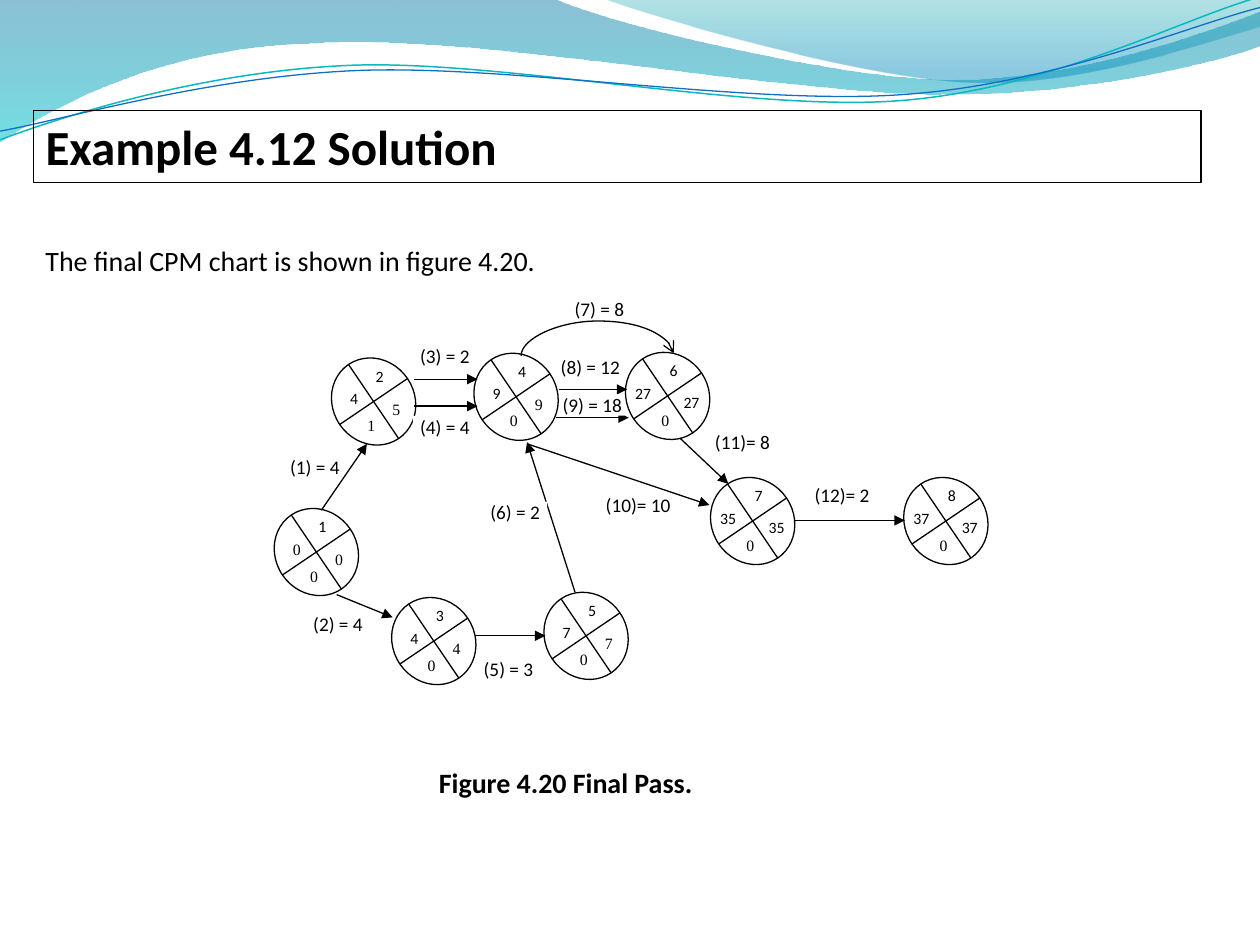
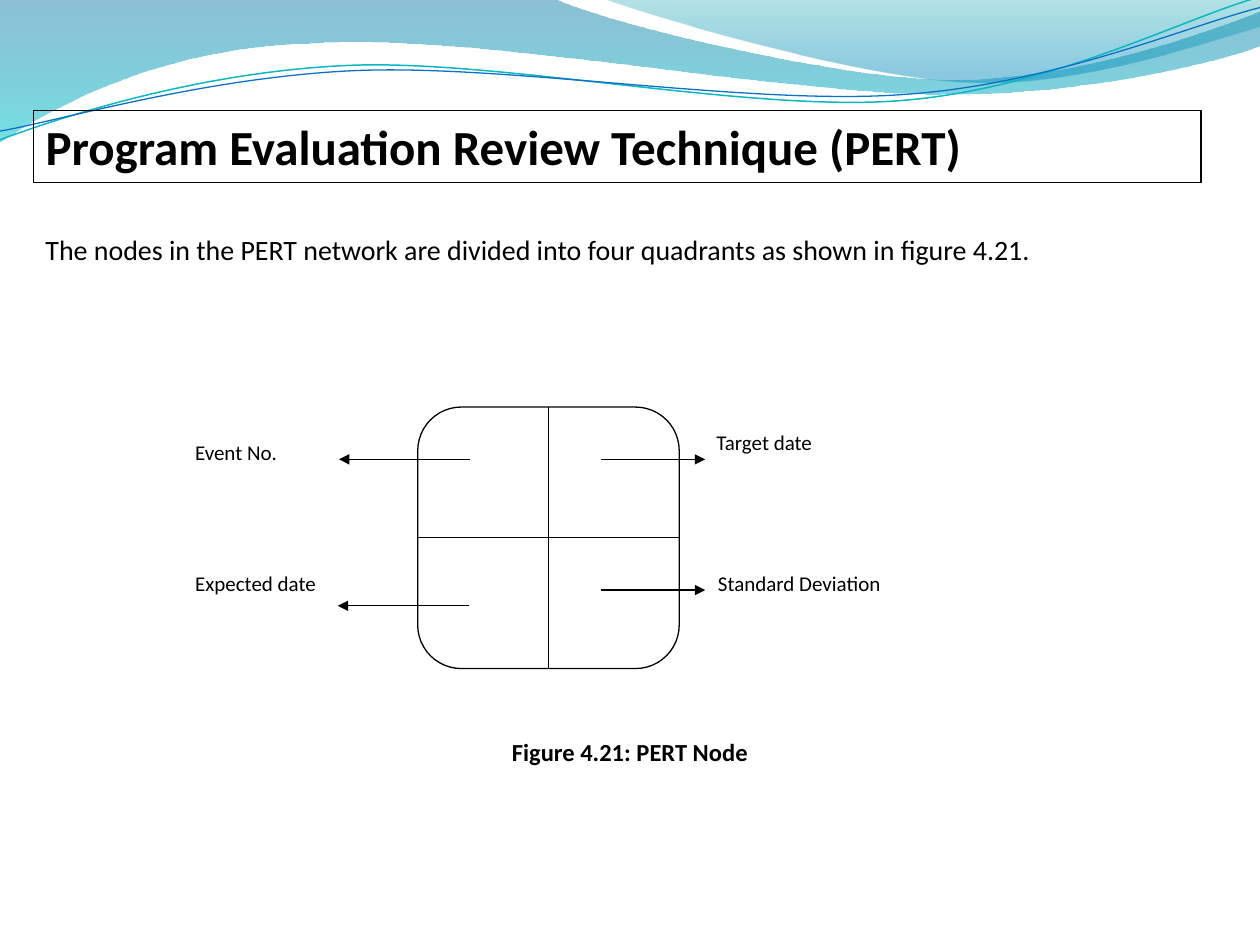
from dataclasses import dataclass
from typing import NamedTuple, Optional

from lxml.etree import SubElement
from pptx import Presentation
from pptx.dml.color import RGBColor
from pptx.enum.shapes import MSO_CONNECTOR as Link, MSO_SHAPE as Preset
from pptx.enum.text import MSO_ANCHOR as Anchor, PP_ALIGN as Align
from pptx.oxml.ns import qn
from pptx.util import Pt


# ---- Theme ----
@dataclass(frozen=True)
class Theme:
    ink: str = "000000"
    paper: str = "FFFFFF"
    teal_line: str = "0AB8BF"
    blue_line: str = "0F6FC6"
    sans: str = "Calibri"
    serif: str = "Times New Roman"
    title: float = 28
    body: float = 16
    caption: float = 14
    quadrant: float = 12
    activity: float = 11
    number: float = 9
    stroke: float = 0.75


THEME = Theme()


class Point(NamedTuple):
    x: float
    y: float


class Box(NamedTuple):
    left: float
    top: float
    width: float
    height: float


# ---- Content records ----
class GradientStop(NamedTuple):
    position: float
    color: str
    opacity: int


@dataclass(frozen=True)
class Wave:
    """Each segment holds one point (straight) or three (cubic curve)."""
    start: Point
    segments: tuple
    stops: tuple = ()
    line: str = ""
    width: float = THEME.stroke


@dataclass(frozen=True)
class Event:
    number: str
    left: float
    top: float
    earliest: str
    latest: str
    slack: str = "0"
    earliest_font: str = THEME.sans


@dataclass(frozen=True)
class Activity:
    label: str
    label_at: Point
    begin: Point
    end: Point
    label_width: float = 36.7
    label_on_top: bool = False
    rise: float = 0


class Quadrant(NamedTuple):
    label: str
    box: Box
    begin: Point
    end: Point


WAVES = (
    Wave(Point(0, 0), (
        ((316.8, -0.7),),
        ((342.7, 12.2), (478.1, 45.4), (545.8, 45.4)),
        ((614.2, 45.4), (689.8, 18.7), (720, 6.5)),
        ((720.7, 25.9),),
        ((707.8, 31.7), (626.4, 54.7), (537.1, 54)),
        ((447.8, 54), (275, 20.2), (185, 24.5)),
        ((92.9, 25.9), (33.1, 59.8), (-0.7, 81.4))),
        stops=(GradientStop(0, "0074A1", 45), GradientStop(1, "00C6CF", 55))),
    Wave(Point(344.9, -0.7), (
        ((366.5, 7.9), (491, 44.6), (553.7, 46.8)),
        ((616.3, 49.7), (691.9, 23), (720, 15.1)),
        ((720, 0),)),
        stops=(GradientStop(0, "00A1A9", 30), GradientStop(0.8, "008BBF", 45))),
    Wave(Point(0, 79.9), (
        ((34.6, 67), (113.8, 41), (199.4, 37.4)),
        ((284.4, 33.8), (427, 64.1), (513.4, 57.6)),
        ((599.8, 51.1), (675.4, 10.8), (718.6, -1.4))),
        line=THEME.teal_line, width=0.85),
    Wave(Point(0, 74.9), (
        ((33.8, 69.1), (118.1, 43.9), (203.8, 40.3)),
        ((290.2, 36.7), (429.8, 60.5), (516.2, 54)),
        ((601.9, 48.2), (677.5, 15.1), (720, 4.3))),
        line=THEME.blue_line),
)

EVENTS = (
    Event("1", 157.4, 289.9, "0", "0", earliest_font=THEME.serif),
    Event("2", 190.1, 203.9, "4", "5", slack="1"),
    Event("3", 224.5, 340.8, "4", "4"),
    Event("4", 271.5, 201.2, "9", "9"),
    Event("5", 311.5, 337.8, "7", "7"),
    Event("6", 358.1, 200.7, "27", "27"),
    Event("7", 406.7, 272.2, "35", "35"),
    Event("8", 517.1, 272.2, "37", "37"),
)

ACTIVITIES = (
    Activity("(1) = 4", Point(161.6, 260.6), Point(183.6, 291.6), Point(209.7, 253.6)),
    Activity("(2) = 4", Point(174.8, 350.6), Point(192.4, 339.8), Point(224.4, 352.8)),
    Activity("(3) = 2", Point(235.9, 197), Point(236.6, 216.7), Point(272.9, 216.7)),
    Activity("(4) = 4", Point(235.9, 237.6), Point(236.6, 232.1), Point(272.9, 232.1)),
    Activity("(5) = 3", Point(272.2, 376.2), Point(271.4, 363.3), Point(311.6, 363.3)),
    Activity("(6) = 2", Point(276, 286.6), Point(328.6, 338.4), Point(301.2, 252.7),
             label_on_top=True),
    Activity("(7) = 8", Point(324.2, 170.3), Point(297.8, 203.3), Point(385, 201.9), rise=20),
    Activity("(8) = 12", Point(319, 203.8), Point(319.5, 222.5), Point(358.4, 222.5)),
    Activity("(9) = 18", Point(320.1, 225.4), Point(317.5, 238.7), Point(359.3, 238.7),
             label_on_top=True),
    Activity("(10)= 10", Point(340.6, 282.2), Point(301.2, 253.6), Point(405.4, 288.6),
             label_width=48.2),
    Activity("(11)= 8", Point(405.9, 246.2), Point(388.6, 250.4), Point(416.2, 276.5)),
    Activity("(12)= 2", Point(462.8, 276.5), Point(453.6, 297.4), Point(517, 297.4)),
)

PERT_NODE = Box(238.7, 232.6, 149.4, 149.4)
QUADRANTS = (
    Quadrant("Expected date", Box(104.4, 322.2, 104.4, 58.3), Point(267.8, 346.2), Point(193, 346.2)),
    Quadrant("Standard Deviation", Box(403.2, 322.2, 119.5, 59), Point(343.2, 337.2), Point(403, 337.2)),
    Quadrant("Target date", Box(402.3, 241.9, 89.3, 58.3), Point(343.2, 262.5), Point(403, 262.5)),
    Quadrant("Event No.", Box(104.4, 247.7, 119.5, 58.3), Point(268.6, 262.5), Point(193.7, 262.5)),
)


# ---- Drawing helpers ----
def paint(shape, fill: Optional[str] = None, line: Optional[str] = None,
          width: float = THEME.stroke) -> None:
    shape.shadow.inherit = False
    if fill:
        shape.fill.solid()
        shape.fill.fore_color.rgb = RGBColor.from_string(fill)
    else:
        shape.fill.background()
    if line:
        shape.line.color.rgb = RGBColor.from_string(line)
        shape.line.width = Pt(width)
    else:
        shape.line.fill.background()


def add_preset(slide, preset, box: Box, fill: Optional[str] = None, line: Optional[str] = None):
    shape = slide.shapes.add_shape(preset, *map(Pt, box))
    paint(shape, fill, line)
    return shape


def add_text(slide, text: str, box: Box, *, size: float, font: str = THEME.sans,
             bold: bool = False, align=Align.LEFT, anchor=Anchor.TOP, wrap: bool = True,
             inset: Optional[float] = None, space_after: float = 0,
             fill: Optional[str] = None, line: Optional[str] = None) -> None:
    if fill or line:
        host = add_preset(slide, Preset.RECTANGLE, box, fill, line)
    else:
        host = slide.shapes.add_textbox(*map(Pt, box))
    frame = host.text_frame
    frame.word_wrap = wrap
    frame.vertical_anchor = anchor
    if inset is not None:
        frame.margin_left = frame.margin_right = Pt(inset)
        frame.margin_top = frame.margin_bottom = Pt(inset)
    paragraph = frame.paragraphs[0]
    paragraph.alignment = align
    paragraph.space_after = Pt(space_after)
    run = paragraph.add_run()
    run.text = text
    run.font.name, run.font.size, run.font.bold = font, Pt(size), bold
    run.font.color.rgb = RGBColor.from_string(THEME.ink)


def add_link(slide, begin: Point, end: Point, *, head: str = "", kind=Link.STRAIGHT):
    link = slide.shapes.add_connector(kind, *map(Pt, (*begin, *end)))
    link.line.color.rgb = RGBColor.from_string(THEME.ink)
    link.line.width = Pt(THEME.stroke)
    properties = link.element.spPr
    if head:
        SubElement(properties.find(qn("a:ln")), qn("a:tailEnd"), type=head)
    SubElement(properties, qn("a:effectLst"))
    return link


def add_arc(slide, begin: Point, end: Point, rise: float) -> None:
    """Curve that climbs above both ends: a curved connector turned by 90 degrees."""
    center = Point((begin.x + end.x) / 2, (begin.y + end.y) / 2)
    half_drop, half_span = (begin.y - end.y) / 2, (end.x - begin.x) / 2
    arc = add_link(slide, Point(center.x + half_drop, center.y + half_span),
                   Point(center.x - half_drop, center.y - half_span),
                   head="arrow", kind=Link.CURVE)
    properties = arc.element.spPr
    properties.find(qn("a:xfrm")).set("rot", str(90 * 60000))
    geometry = properties.find(qn("a:prstGeom"))
    guides = geometry.find(qn("a:avLst"))
    if guides is None:
        guides = SubElement(geometry, qn("a:avLst"))
    bulge = round(rise / (2 * half_drop) * 100000)
    SubElement(guides, qn("a:gd"), name="adj1", fmla=f"val {bulge}")


def bend(outline, segments: tuple) -> None:
    """Turn the three straight steps of each cubic segment into one curve."""
    steps = iter(outline.findall(qn("a:lnTo")))
    for segment in segments:
        first, *others = [next(steps) for _ in segment]
        if others:
            curve = SubElement(outline, qn("a:cubicBezTo"))
            first.addprevious(curve)
            for step in (first, *others):
                curve.append(step.find(qn("a:pt")))
                outline.remove(step)


def add_wave(slide, wave: Wave) -> None:
    builder = slide.shapes.build_freeform(Pt(wave.start.x), Pt(wave.start.y))
    builder.add_line_segments([(Pt(x), Pt(y)) for segment in wave.segments for x, y in segment],
                              close=bool(wave.stops))
    shape = builder.convert_to_shape()
    properties = shape.element.spPr
    bend(next(properties.iter(qn("a:path"))), wave.segments)
    paint(shape, line=wave.line, width=wave.width)
    if wave.stops:
        shape.fill.gradient()
        shape.fill.gradient_angle = 270
        for stop, spec in zip(shape.fill.gradient_stops, wave.stops):
            stop.position = spec.position
            stop.color.rgb = RGBColor.from_string(spec.color)
        colors = properties.find(qn("a:gradFill")).iter(qn("a:srgbClr"))
        for color, spec in zip(colors, wave.stops):
            SubElement(color, qn("a:alpha"), val=str(spec.opacity * 1000))


# ---- Parts of the slides ----
def start_slide(deck, title: str, intro: str, intro_box: Box):
    slide = deck.slides.add_slide(deck.slide_layouts[6])
    for wave in WAVES:
        add_wave(slide, wave)
    add_text(slide, title, Box(19, 63.1, 667.4, 41.2), size=THEME.title, bold=True, line=THEME.ink)
    add_text(slide, intro, intro_box, size=THEME.body)
    return slide


def add_event(slide, event: Event) -> None:
    circle = add_preset(slide, Preset.FLOWCHART_OR, Box(event.left, event.top, 46.8, 51.1),
                        THEME.paper, THEME.ink)
    circle.rotation = 325.9
    wide_earliest, wide_latest = len(event.earliest) > 1, len(event.latest) > 1
    numbers = (
        (event.number, 17.5, 2, THEME.sans),
        (event.earliest, -2.3 if wide_earliest else 2.9, 14.8, event.earliest_font),
        (event.latest, 25.4 if wide_latest else 27.1, 20 if wide_latest else 20.9,
         THEME.sans if wide_latest else THEME.serif),
        (event.slack, 12.8, 30.2, THEME.serif),
    )
    for number, dx, dy, font in numbers:
        width = 25.2 if len(number) > 1 else 17.3
        add_text(slide, number, Box(event.left + dx, event.top + dy, width, 16.6),
                 size=THEME.number, font=font, space_after=10)


def add_activity(slide, activity: Activity) -> None:
    def arrow() -> None:
        if activity.rise:
            add_arc(slide, activity.begin, activity.end, activity.rise)
        else:
            add_link(slide, activity.begin, activity.end, head="triangle")

    def label() -> None:
        add_text(slide, activity.label, Box(*activity.label_at, activity.label_width, 12.2),
                 size=THEME.activity, align=Align.CENTER, anchor=Anchor.MIDDLE,
                 inset=0, space_after=10, fill=THEME.paper)

    for draw in (arrow, label) if activity.label_on_top else (label, arrow):
        draw()


def build_cpm_slide(deck) -> None:
    slide = start_slide(deck, "Example 4.12 Solution",
                        "The final CPM chart is shown in figure 4.20.",
                        Box(18.9, 135.4, 667.4, 26.6))
    for event in EVENTS:
        add_event(slide, event)
    for activity in ACTIVITIES:
        add_activity(slide, activity)
    add_text(slide, "Figure 4.20 Final Pass.", Box(146.9, 434.2, 352.8, 26.6),
             size=THEME.body, bold=True, align=Align.CENTER)


def build_pert_slide(deck) -> None:
    slide = start_slide(
        deck, "Program Evaluation Review Technique (PERT)",
        "The nodes in the PERT network are divided into four quadrants as shown in figure 4.21.",
        Box(18.9, 129.3, 654.5, 26.6))
    node = add_preset(slide, Preset.ROUNDED_RECTANGLE, PERT_NODE, THEME.paper, THEME.ink)
    for first_side, last_side in ((0, 2), (1, 3)):
        divider = add_link(slide, Point(0, 0), Point(1, 1))
        divider.begin_connect(node, first_side)
        divider.end_connect(node, last_side)
    for quadrant in QUADRANTS:
        add_text(slide, quadrant.label, quadrant.box, size=THEME.quadrant,
                 fill=THEME.paper, line=THEME.paper)
    for quadrant in QUADRANTS:
        add_link(slide, quadrant.begin, quadrant.end, head="triangle")
    add_text(slide, "Figure 4.21: PERT Node", Box(284.7, 417.2, 150.5, 24.5),
             size=THEME.caption, bold=True, align=Align.CENTER, anchor=Anchor.MIDDLE, wrap=False)


def main() -> None:
    deck = Presentation()
    deck.slide_width, deck.slide_height = Pt(720), Pt(540)
    build_cpm_slide(deck)
    build_pert_slide(deck)
    deck.save("out.pptx")


if __name__ == "__main__":
    main()
